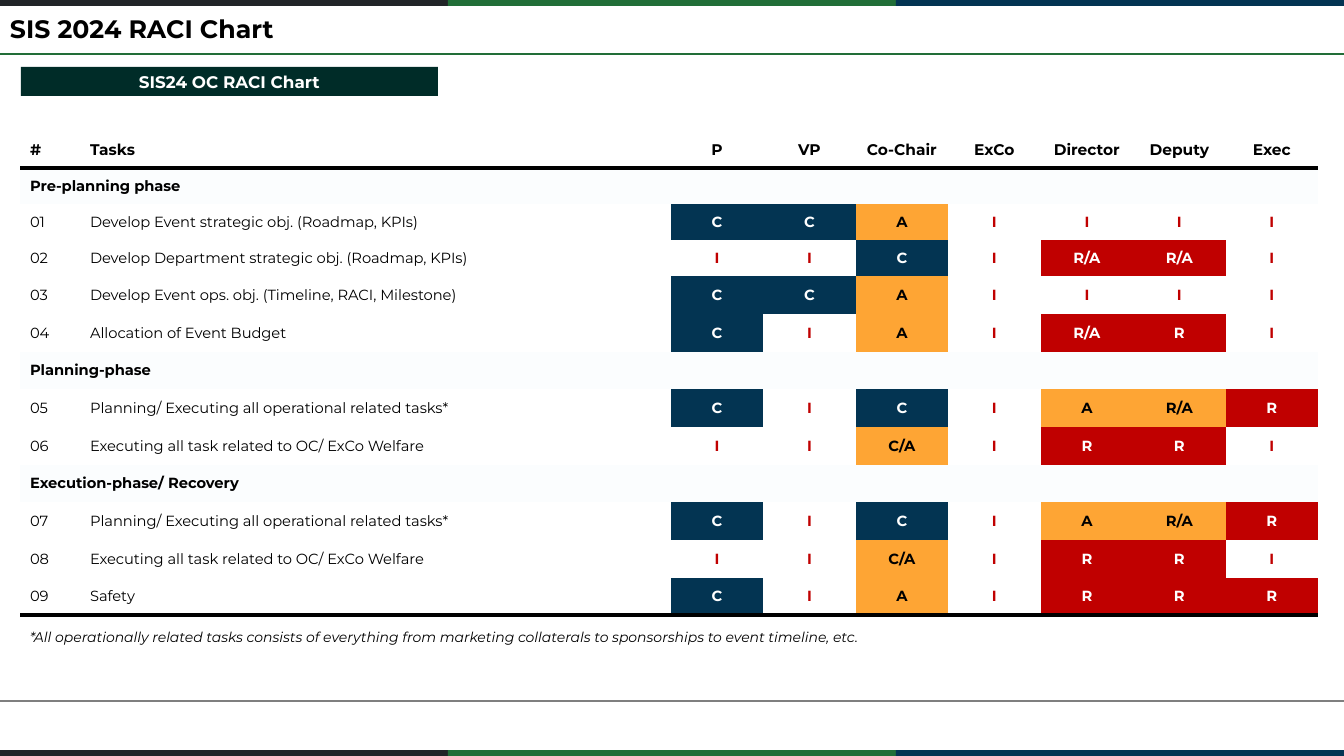
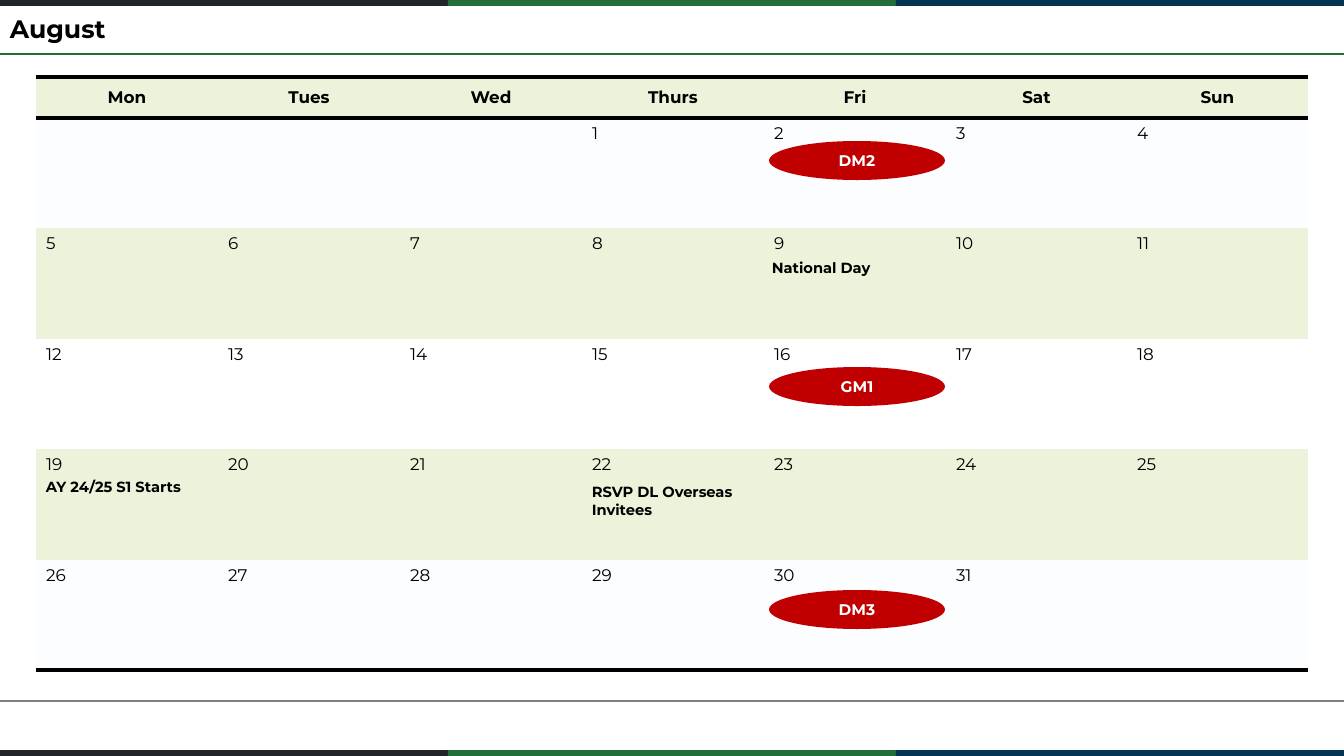
"""Build a two-slide event deck: a RACI chart and the August calendar."""
from dataclasses import dataclass

from lxml.etree import SubElement
from pptx import Presentation
from pptx.dml.color import RGBColor
from pptx.enum.shapes import MSO_CONNECTOR, MSO_SHAPE
from pptx.enum.text import MSO_ANCHOR as Anchor, PP_ALIGN as Align
from pptx.oxml.ns import qn
from pptx.util import Pt


@dataclass(frozen=True)
class Theme:
    font: str = "Montserrat"
    black: str = "000000"
    white: str = "FFFFFF"
    charcoal: str = "212528"
    green: str = "216E38"
    rule_green: str = "226D38"
    rule_grey: str = "7F7F7F"
    navy: str = "033453"
    cell_navy: str = "033452"
    banner: str = "002C28"
    amber: str = "FEA534"
    red: str = "C00000"
    pale: str = "FBFDFE"
    lime: str = "EDF3DB"
    title: float = 18
    heading: float = 12
    label: float = 11
    body: float = 10.5
    note: float = 10
    rule: float = 1.5
    table_rule: float = 3


THEME = Theme()
PX = 914400 / 100.8
WIDTH, HEIGHT = 1344, 756
NO_STYLE = "{2D5ABB26-0587-4C30-8999-92F81FD0307C}"


def write(frame, text, size, color=THEME.black, bold=False, italic=False,
          align=Align.LEFT, anchor=Anchor.TOP):
    frame.word_wrap = True
    frame.vertical_anchor = anchor
    para = frame.paragraphs[0]
    para.alignment = align
    span = para.add_run()
    span.text = text
    span.font.name = THEME.font
    span.font.size = Pt(size)
    span.font.bold = bold
    span.font.italic = italic
    span.font.color.rgb = RGBColor.from_string(color)


def style_cell(cell, fill, sides=""):
    cell.vertical_anchor = Anchor.MIDDLE
    properties = cell._tc.get_or_add_tcPr()
    for side in sides:
        line = SubElement(properties, qn(f"a:ln{side}"), w=str(Pt(THEME.table_rule)))
        solid = SubElement(line, qn("a:solidFill"))
        SubElement(solid, qn("a:srgbClr"), val=THEME.black)
    if fill:
        cell.fill.solid()
        cell.fill.fore_color.rgb = RGBColor.from_string(fill)
    else:
        cell.fill.background()


deck = Presentation()
deck.slide_width, deck.slide_height = round(WIDTH * PX), round(HEIGHT * PX)

pages = []
blocks = []
band_width = WIDTH // 3
for title in ("SIS 2024 RACI Chart", "August"):
    page = deck.slides.add_slide(deck.slide_layouts[6])
    pages.append(page)
    for top in (0, HEIGHT - 6):
        for index, color in enumerate((THEME.charcoal, THEME.green, THEME.navy)):
            blocks.append((page, MSO_SHAPE.RECTANGLE, index * band_width, top,
                           band_width, 6, color, "", THEME.heading))
    for y, color in ((54, THEME.rule_green), (701, THEME.rule_grey)):
        rule = page.shapes.add_connector(
            MSO_CONNECTOR.STRAIGHT, 0, round(y * PX), deck.slide_width, round(y * PX))
        rule.line.width = Pt(THEME.rule)
        rule.line.color.rgb = RGBColor.from_string(color)
        SubElement(rule.element.spPr, qn("a:effectLst"))
    box = page.shapes.add_textbox(*(round(n * PX) for n in (10, 13, 1323, 34)))
    box.text_frame.margin_left = 0
    write(box.text_frame, title, THEME.title, bold=True, anchor=Anchor.MIDDLE)
    box.text_frame.paragraphs[0].line_spacing = 0.9

raci_page, calendar_page = pages

tables = []
for page, left, top, widths, heights in (
    (raci_page, 20, 132, [60, 591] + [92, 93] * 3 + [92], [36] * 4 + [38, 38, 37] * 3),
    (calendar_page, 36, 77, [182] * 5 + [181] * 2, [41, 110, 111, 110, 111, 110]),
):
    frame = page.shapes.add_table(
        len(heights), len(widths), round(left * PX), round(top * PX),
        round(sum(widths) * PX), round(sum(heights) * PX))
    frame.element.xpath(".//a:tableStyleId")[0].text = NO_STYLE
    table = frame.table
    table.first_row = table.horz_banding = False
    for column, width in zip(table.columns, widths):
        column.width = round(width * PX)
    for row, height in zip(table.rows, heights):
        row.height = round(height * PX)
    tables.append(table)

raci, calendar = tables

roles = {
    "C": ("C", THEME.cell_navy, THEME.white),
    "I": ("I", None, THEME.red),
    "A": ("A", THEME.amber, THEME.black),
    "C/A": ("C/A", THEME.amber, THEME.black),
    "R": ("R", THEME.red, THEME.white),
    "R/A": ("R/A", THEME.red, THEME.white),
    "amber R/A": ("R/A", THEME.amber, THEME.black),
}
operations = ("Planning/ Executing all operational related tasks*",
              ("C", "I", "C", "I", "A", "amber R/A", "R"))
welfare = ("Executing all task related to OC/ ExCo Welfare",
           ("I", "I", "C/A", "I", "R", "R", "I"))
phases = (
    ("Pre-planning phase", (
        ("Develop Event strategic obj. (Roadmap, KPIs)",
         ("C", "C", "A", "I", "I", "I", "I")),
        ("Develop Department strategic obj. (Roadmap, KPIs)",
         ("I", "I", "C", "I", "R/A", "R/A", "I")),
        ("Develop Event ops. obj. (Timeline, RACI, Milestone)",
         ("C", "C", "A", "I", "I", "I", "I")),
        ("Allocation of Event Budget",
         ("C", "I", "A", "I", "R/A", "R", "I")),
    )),
    ("Planning-phase", (operations, welfare)),
    ("Execution-phase/ Recovery", (
        operations, welfare,
        ("Safety", ("C", "I", "A", "I", "R", "R", "R")),
    )),
)

headings = ("#", "Tasks", "P", "VP", "Co-Chair", "ExCo", "Director", "Deputy", "Exec")
for column, heading in enumerate(headings):
    cell = raci.cell(0, column)
    style_cell(cell, None, "B")
    write(cell.text_frame, heading, THEME.label, bold=True,
          align=Align.CENTER if column > 1 else Align.LEFT, anchor=Anchor.MIDDLE)

row = number = 0
last_row = len(raci.rows) - 1
for phase, tasks in phases:
    row += 1
    cell = raci.cell(row, 0)
    cell.merge(raci.cell(row, len(headings) - 1))
    style_cell(cell, THEME.pale)
    write(cell.text_frame, phase, THEME.body, bold=True, anchor=Anchor.MIDDLE)
    for task, codes in tasks:
        row += 1
        number += 1
        sides = "B" if row == last_row else ""
        for column, text in enumerate((f"{number:02}", task)):
            cell = raci.cell(row, column)
            style_cell(cell, None, sides)
            write(cell.text_frame, text, THEME.body, anchor=Anchor.MIDDLE)
        for column, code in enumerate(codes, 2):
            text, fill, ink = roles[code]
            cell = raci.cell(row, column)
            style_cell(cell, fill, sides)
            write(cell.text_frame, text, THEME.body, ink, bold=True,
                  align=Align.CENTER, anchor=Anchor.MIDDLE)

for column, day in enumerate(("Mon", "Tues", "Wed", "Thurs", "Fri", "Sat", "Sun")):
    cell = calendar.cell(0, column)
    style_cell(cell, THEME.lime, "TB")
    write(cell.text_frame, day, THEME.heading, bold=True,
          align=Align.CENTER, anchor=Anchor.MIDDLE)

first_weekday, days_in_month = 3, 31
week_fills = (THEME.pale, THEME.lime, None, THEME.lime, THEME.pale)
for week, fill in enumerate(week_fills):
    for weekday in range(7):
        cell = calendar.cell(week + 1, weekday)
        style_cell(cell, fill, "B" if week == len(week_fills) - 1 else "")
        cell.vertical_anchor = Anchor.TOP
        date = week * 7 + weekday - first_weekday + 1
        if 1 <= date <= days_in_month:
            write(cell.text_frame, str(date), THEME.heading)

blocks.append((raci_page, MSO_SHAPE.RECTANGLE, 21, 67, 417, 29,
               THEME.banner, "SIS24 OC RACI Chart", THEME.heading))
for meeting, top in (("DM2", 141), ("GM1", 367), ("DM3", 590)):
    blocks.append((calendar_page, MSO_SHAPE.OVAL, 769, top, 176, 39,
                   THEME.red, meeting, THEME.label))

for page, kind, left, top, width, height, color, text, size in blocks:
    shape = page.shapes.add_shape(
        kind, *(round(n * PX) for n in (left, top, width, height)))
    shape.shadow.inherit = False
    shape.fill.solid()
    shape.fill.fore_color.rgb = RGBColor.from_string(color)
    shape.line.fill.background()
    if text:
        frame = shape.text_frame
        frame.margin_top = frame.margin_bottom = 0
        write(frame, text, size, THEME.white, bold=True,
              align=Align.CENTER, anchor=Anchor.MIDDLE)

footnote = ("*All operationally related tasks consists of everything from marketing "
            "collaterals to sponsorships to event timeline, etc.")
for page, left, top, width, height, text, size, is_note in (
    (raci_page, 20, 624, 1298, 27, footnote, THEME.note, True),
    (calendar_page, 36, 473, 179, 28, "AY 24/25 S1 Starts", THEME.body, False),
    (calendar_page, 582, 478, 179, 45, "RSVP DL Overseas Invitees", THEME.body, False),
    (calendar_page, 762, 254, 179, 28, "National Day", THEME.body, False),
):
    box = page.shapes.add_textbox(*(round(n * PX) for n in (left, top, width, height)))
    write(box.text_frame, text, size, bold=not is_note, italic=is_note)

deck.save("out.pptx")
